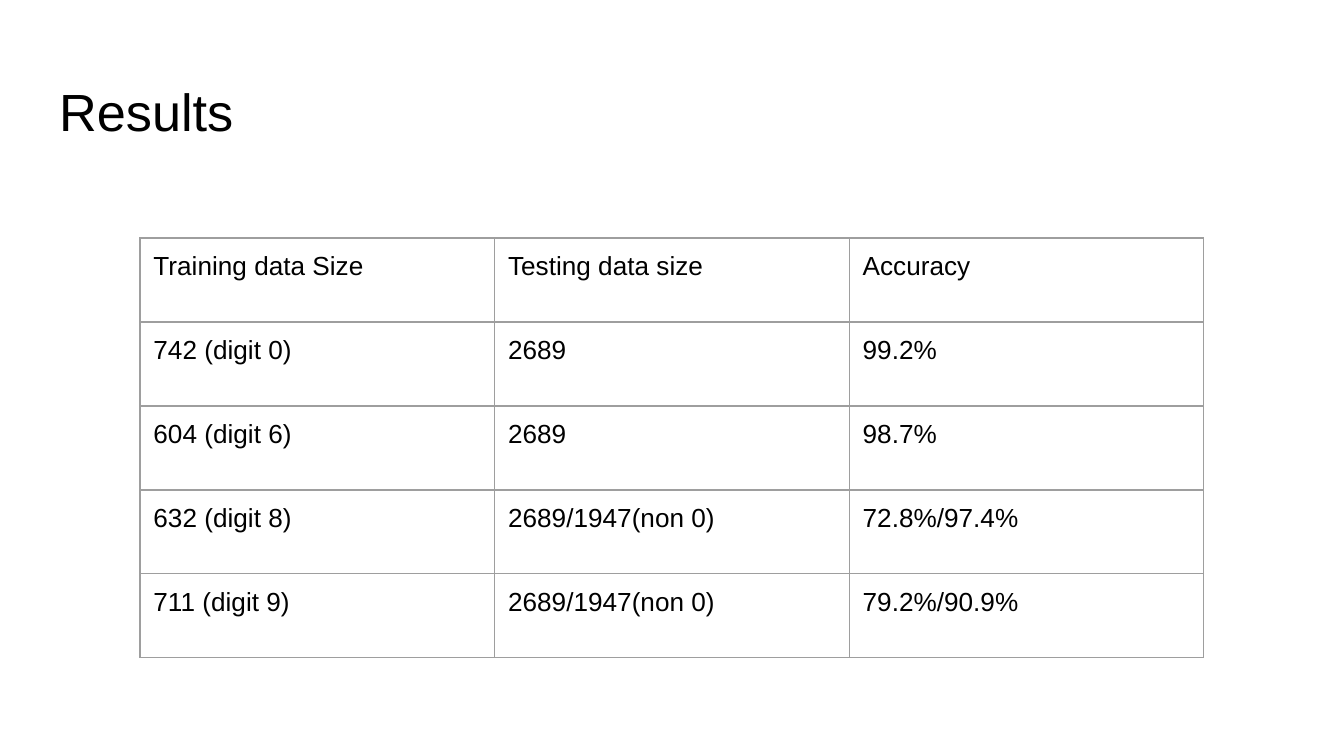
from lxml import etree
from pptx import Presentation
from pptx import util as u
from pptx.dml.color import RGBColor
from pptx.enum import text
from pptx.oxml import ns

BLACK = RGBColor(0x00, 0x00, 0x00)
WHITE = RGBColor(0xFF, 0xFF, 0xFF)
GREY = RGBColor(0x9E, 0x9E, 0x9E)
FONT = "Arial"
INSET = u.Pt(7.2)
COLUMN_WIDTH = u.Pt(190)
ROW_HEIGHT = u.Pt(45)

RESULTS = [
    ("Training data Size", "Testing data size", "Accuracy"),
    ("742 (digit 0)", "2689", "99.2%"),
    ("604 (digit 6)", "2689", "98.7%"),
    ("632 (digit 8)", "2689/1947(non 0)", "72.8%/97.4%"),
    ("711 (digit 9)", "2689/1947(non 0)", "79.2%/90.9%"),
]


def style_text(frame, size):
    """Format every paragraph of a text frame alike."""
    for para in frame.paragraphs:
        para.alignment = text.PP_ALIGN.LEFT
        para.font.name = FONT
        para.font.size = u.Pt(size)
        para.font.color.rgb = BLACK


def set_margins(holder):
    """Give a text frame or a cell equal margins."""
    holder.margin_left = holder.margin_right = INSET
    holder.margin_top = holder.margin_bottom = INSET


def add_borders(cell):
    """Draw a thin grey line on all four sides of a cell."""
    properties = cell._tc.get_or_add_tcPr()
    for side in ("a:lnL", "a:lnR", "a:lnT", "a:lnB"):
        line = etree.SubElement(properties, ns.qn(side), w=str(u.Pt(0.75)))
        fill = etree.SubElement(line, ns.qn("a:solidFill"))
        etree.SubElement(fill, ns.qn("a:srgbClr"), val=str(GREY))


def add_title(page, wording):
    title = page.shapes.title
    title.left, title.top = u.Pt(24.5), u.Pt(35)
    title.width, title.height = u.Pt(671), u.Pt(45)
    frame = title.text_frame
    frame.text = wording
    frame.word_wrap = True
    frame.auto_size = text.MSO_AUTO_SIZE.NONE
    frame.vertical_anchor = text.MSO_ANCHOR.TOP
    set_margins(frame)
    style_text(frame, 28)


def add_results_table(page, rows):
    row_count, column_count = len(rows), len(rows[0])
    table = page.shapes.add_table(
        row_count, column_count, u.Pt(75), u.Pt(127.5),
        column_count * COLUMN_WIDTH, row_count * ROW_HEIGHT).table
    table.first_row = table.horz_banding = False
    for column in table.columns:
        column.width = COLUMN_WIDTH
    for row, values in zip(table.rows, rows):
        row.height = ROW_HEIGHT
        for cell, value in zip(row.cells, values):
            cell.text = value
            cell.vertical_anchor = text.MSO_ANCHOR.TOP
            set_margins(cell)
            style_text(cell.text_frame, 14)
            add_borders(cell)
            cell.fill.background()


def main():
    deck = Presentation()
    deck.slide_width, deck.slide_height = u.Pt(720), u.Pt(405)

    # Title-only page on white
    page = deck.slides.add_slide(deck.slide_layouts.get_by_name("Title Only"))
    page.background.fill.solid()
    page.background.fill.fore_color.rgb = WHITE

    # Heading and accuracy table
    add_title(page, "Results")
    add_results_table(page, RESULTS)

    deck.save("out.pptx")


if __name__ == "__main__":
    main()
